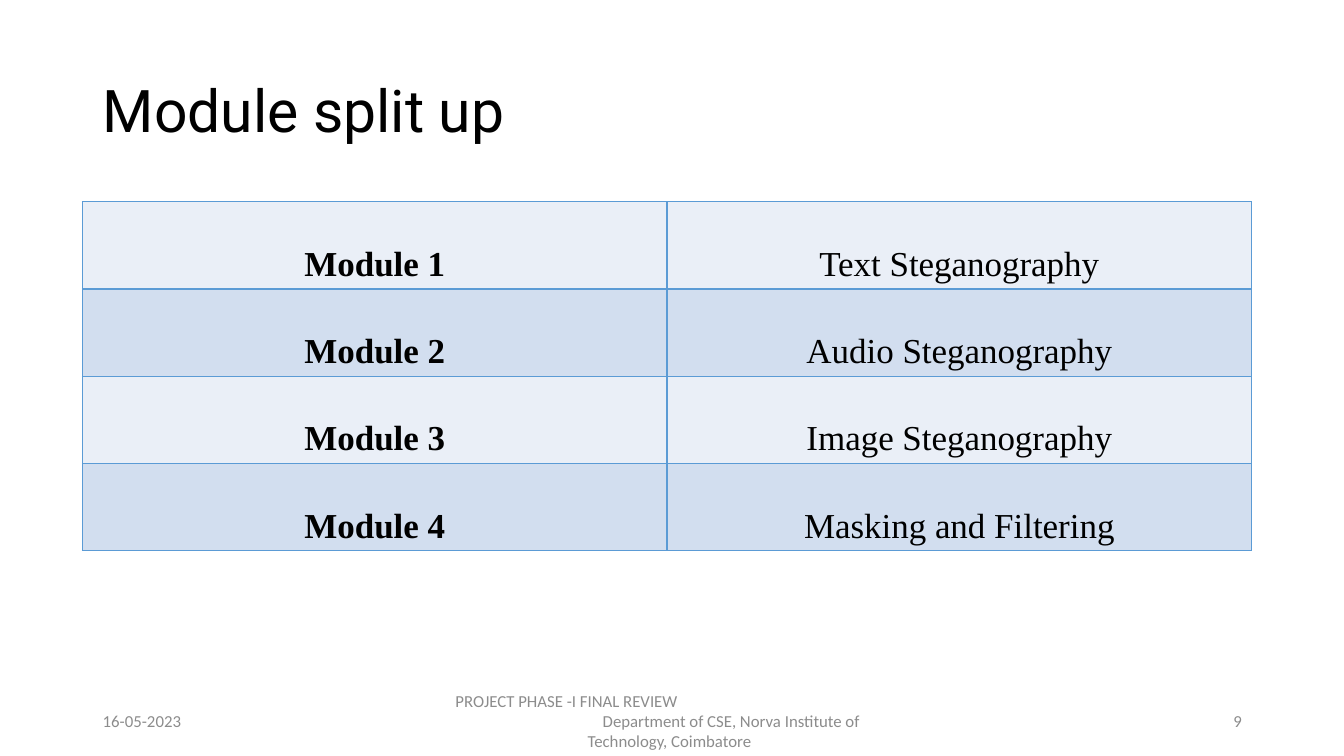
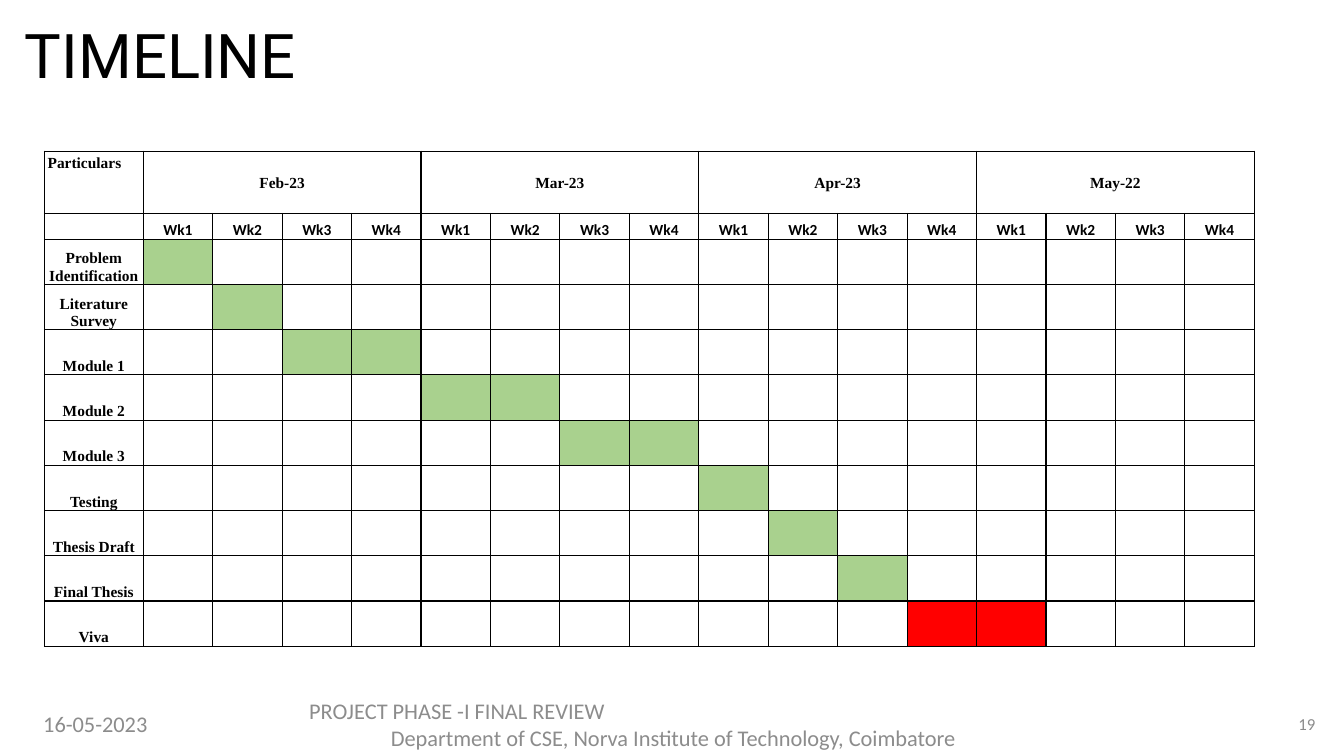
import pptx
import pptx.dml.color
import pptx.enum.text
import pptx.oxml.ns
import pptx.util
from lxml import etree

Cm, Pt = pptx.util.Cm, pptx.util.Pt
ALIGN = pptx.enum.text.PP_ALIGN
ANCHOR = pptx.enum.text.MSO_ANCHOR
qn = pptx.oxml.ns.qn

# Shared style
COLOURS = {
    "text": "000000", "footer": "8C8C8C", "white": "FFFFFF",
    "light band": "EAEFF7", "dark band": "D2DEEF", "module border": "5B9BD5",
    "done": "A9D18E", "viva": "FF0000",
}
TITLE_FONT, BODY_FONT, PLAIN_FONT = "Roboto", "Times New Roman", "Calibri"

# Content
DATE = "16-05-2023"
REVIEW = "PROJECT PHASE -I FINAL REVIEW"
DEPARTMENT = "Department of CSE, Norva Institute of Technology, Coimbatore"

MODULES = [
    ("Module 1", "Text Steganography"),
    ("Module 2", "Audio Steganography"),
    ("Module 3", "Image Steganography"),
    ("Module 4", "Masking and Filtering"),
]
MONTHS = ["Feb-23", "Mar-23", "Apr-23", "May-22"]
WEEKS = ["Wk1", "Wk2", "Wk3", "Wk4"]
# Task, first week counted from 1, number of weeks, colour
TASKS = [
    ("Problem Identification", 1, 1, "done"),
    ("Literature Survey", 2, 1, "done"),
    ("Module 1", 3, 2, "done"),
    ("Module 2", 5, 2, "done"),
    ("Module 3", 7, 2, "done"),
    ("Testing", 9, 1, "done"),
    ("Thesis Draft", 10, 1, "done"),
    ("Final Thesis", 11, 1, "done"),
    ("Viva", 12, 2, "viva"),
]

# Footers in cm: (left, width, size) of each part; indents of the department
MODULE_FOOTER = {
    "top": 17.65, "date": (2.34, 7.62, 12), "review": (11.23, 11.43, 12),
    "number": (23.93, 7.62, 12), "margin": 3.33, "indent": 0.38,
}
TIMELINE_FOOTER = {
    "top": 17.73, "date": (0.84, 3.68, 16), "review": (7.54, 18.8, 16),
    "number": (31.85, 1.55, 12), "margin": 2.06, "indent": 0,
}


def rgb(colour):
    return pptx.dml.color.RGBColor.from_string(COLOURS[colour])


def style(paragraph, font, size, colour="text", bold=False, align=ALIGN.LEFT):
    paragraph.alignment = align
    paragraph.font.name = font
    paragraph.font.size = Pt(size)
    paragraph.font.bold = bold
    paragraph.font.color.rgb = rgb(colour)


def add_text(slide, box, lines, font, size, colour="text", align=ALIGN.LEFT):
    """Add a vertically centred text box and return its paragraphs."""
    frame = slide.shapes.add_textbox(*map(Cm, box)).text_frame
    frame.word_wrap = True
    frame.vertical_anchor = ANCHOR.MIDDLE
    frame.text = "\n".join(lines)
    for paragraph in frame.paragraphs:
        style(paragraph, font, size, colour, align=align)
    return frame.paragraphs


def add_title(slide, box, text, size):
    add_text(slide, box, [text], TITLE_FONT, size)[0].line_spacing = 0.9


def add_footer(slide, footer, number):
    parts = [
        ("date", [DATE], ALIGN.LEFT),
        ("review", [REVIEW, DEPARTMENT], ALIGN.LEFT),
        ("number", [number], ALIGN.RIGHT),
    ]
    for part, lines, align in parts:
        left, width, size = footer[part]
        box = (left, footer["top"], width, 1.02)
        paragraphs = add_text(slide, box, lines, PLAIN_FONT, size, "footer", align)
        if part == "review":
            properties = paragraphs[1]._p.get_or_add_pPr()
            properties.set("marL", str(Cm(footer["margin"])))
            properties.set("indent", str(Cm(footer["indent"])))


def add_grid(slide, left, top, widths, heights):
    """Add a table without a banded style, sized by its columns and rows."""
    frame = slide.shapes.add_table(
        len(heights), len(widths), Cm(left), Cm(top),
        Cm(sum(widths)), Cm(sum(heights)))
    table = frame.table
    table.first_row = table.horz_banding = False
    for column, width in zip(table.columns, widths):
        column.width = Cm(width)
    for row, height in zip(table.rows, heights):
        row.height = Cm(height)
    return table


def fill_cell(cell, text, fill, border, font, size, bold=True, inset=None,
              anchor=ANCHOR.BOTTOM, align=ALIGN.CENTER):
    cell.text = text
    cell.vertical_anchor = anchor
    if inset is not None:
        cell.margin_left = cell.margin_right = cell.margin_top = Cm(inset)
        cell.margin_bottom = 0
    cell.fill.solid()
    cell.fill.fore_color.rgb = rgb(fill)
    paragraph = cell.text_frame.paragraphs[0]
    style(paragraph, font, size, bold=bold, align=align)
    if not text:
        etree.SubElement(paragraph._p, qn("a:endParaRPr"), sz=str(size * 100))
    # Borders come before the fill
    properties = cell._tc.get_or_add_tcPr()
    for position, side in enumerate(("a:lnL", "a:lnR", "a:lnT", "a:lnB")):
        line = etree.Element(qn(side), w=str(Pt(1)))
        solid = etree.SubElement(line, qn("a:solidFill"))
        etree.SubElement(solid, qn("a:srgbClr"), val=COLOURS[border])
        properties.insert(position, line)


def build_modules(slide):
    add_title(slide, (2.34, 1.02, 29.21, 3.68), "Module split up", 42)
    table = add_grid(slide, 2.08, 5.08, [14.73] * 2, [2.2] * len(MODULES))
    for row, texts in enumerate(MODULES):
        band = "dark band" if row % 2 else "light band"
        for column, text in enumerate(texts):
            fill_cell(table.cell(row, column), text, band, "module border",
                      BODY_FONT, 25, bold=column == 0)
    add_footer(slide, MODULE_FOOTER, "9")


def build_timeline(slide):
    add_title(slide, (0.38, 0.3, 29.21, 2.34), "TIMELINE", 44)
    week_count = len(MONTHS) * len(WEEKS)
    table = add_grid(slide, 1.12, 3.81, [2.49] + [1.75] * week_count,
                     [1.57, 0.65] + [1.14] * len(TASKS))

    def put(row, column, text="", fill="white", font=BODY_FONT, inset=0.03,
            **options):
        fill_cell(table.cell(row, column), text, fill, "text", font, 11,
                  inset=inset, **options)

    # Headings: months over weeks
    put(0, 0, "Particulars", inset=0.08, anchor=ANCHOR.TOP, align=ALIGN.LEFT)
    put(1, 0)
    for week in range(week_count):
        month, position = divmod(week, len(WEEKS))
        put(0, week + 1, "" if position else MONTHS[month], anchor=ANCHOR.MIDDLE)
        put(1, week + 1, WEEKS[position], font=PLAIN_FONT)
    for first in range(1, week_count, len(WEEKS)):
        table.cell(0, first).merge(table.cell(0, first + len(WEEKS) - 1))

    # Tasks and their weeks
    for row, (task, start, length, colour) in enumerate(TASKS, 2):
        put(row, 0, task)
        for week in range(1, week_count + 1):
            active = start <= week < start + length
            put(row, week, fill=colour if active else "white")
    add_footer(slide, TIMELINE_FOOTER, "19")


def main():
    presentation = pptx.Presentation()
    presentation.slide_width = Cm(33.87)
    presentation.slide_height = Cm(19.05)
    for build in (build_modules, build_timeline):
        build(presentation.slides.add_slide(presentation.slide_layouts[6]))
    presentation.save("out.pptx")


if __name__ == "__main__":
    main()
